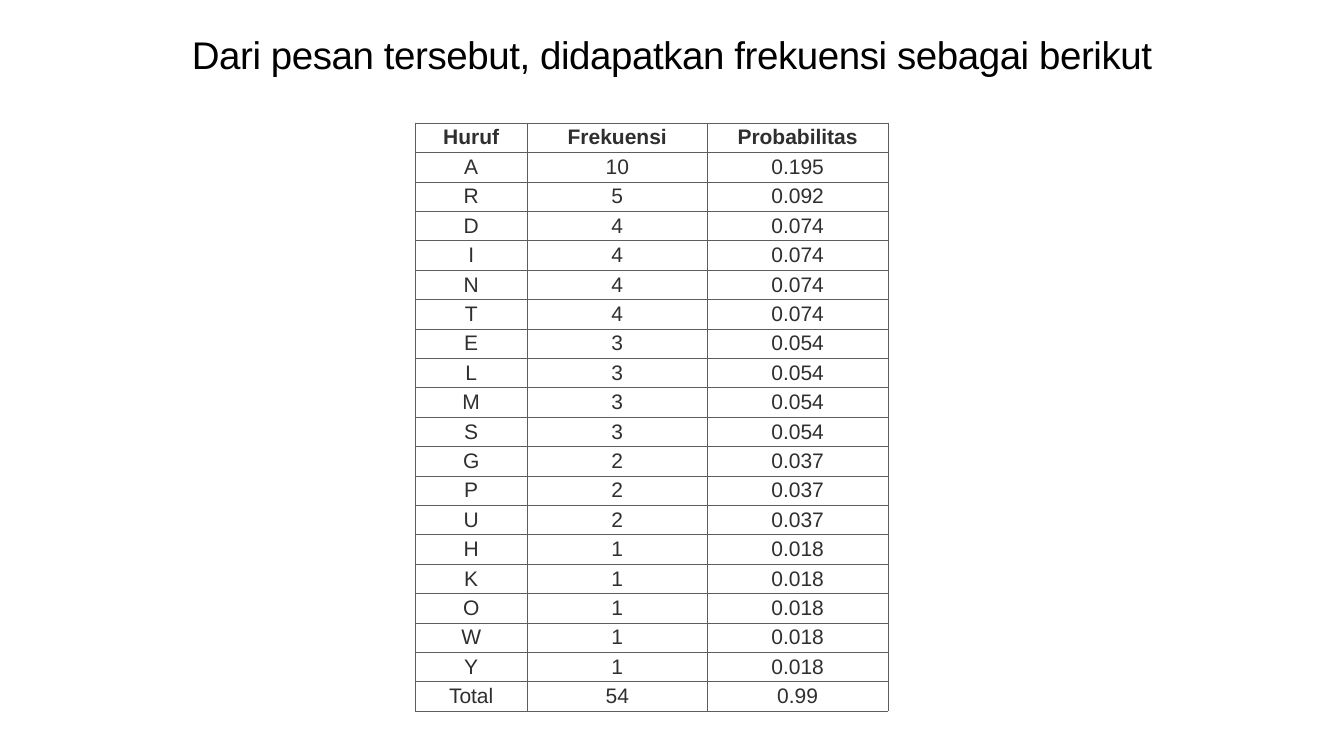
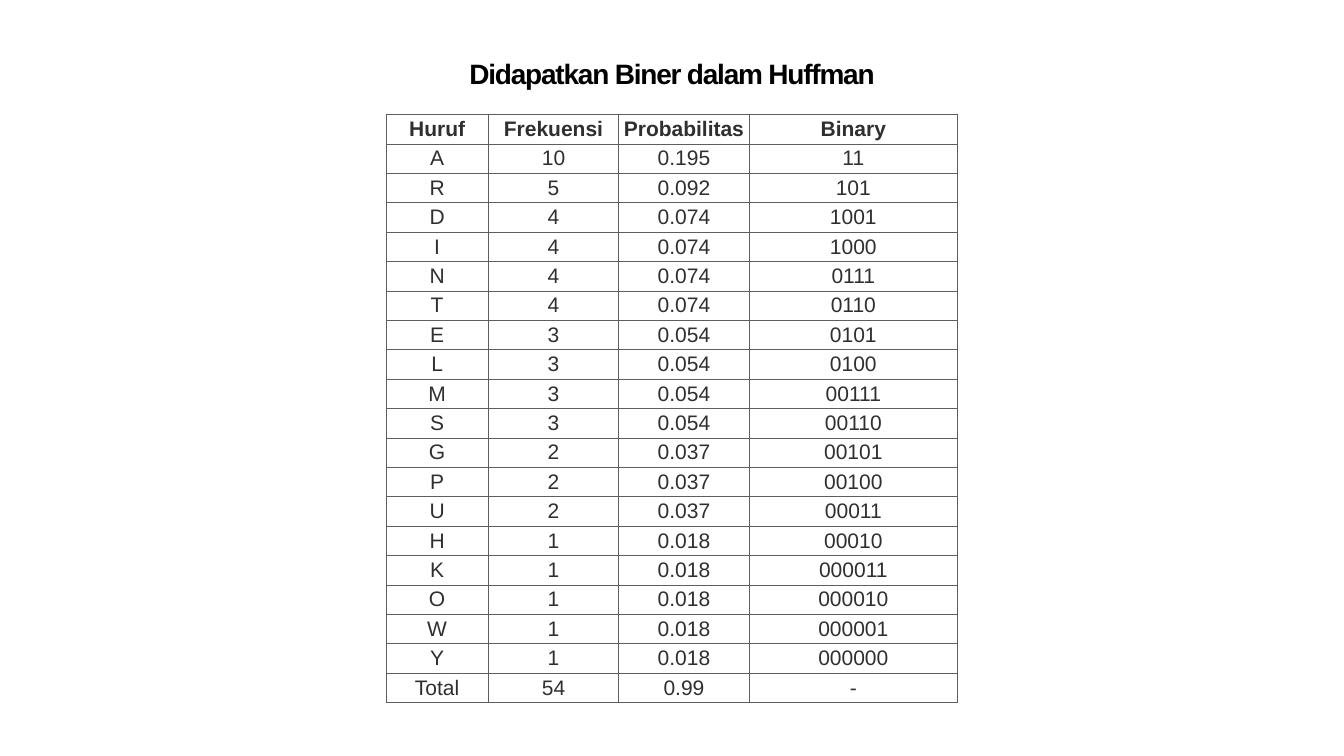
from lxml.etree import SubElement
from pptx import Presentation
from pptx.dml.color import RGBColor
from pptx.enum.text import MSO_ANCHOR, MSO_AUTO_SIZE, PP_ALIGN
from pptx.oxml.ns import qn
from pptx.util import Inches, Pt

# Grid: 100 columns by 100 rows over the slide
WIDE, HIGH = Inches(26.67), Inches(15)
ROW = 3.89
FONT, BLACK, INK, EDGE = "Arial", "000000", "2F2F2F", "5E5E5E"

# Letter, frequency, probability, Huffman code
HEAD = ["Huruf", "Frekuensi", "Probabilitas", "Binary"]
CODES = """A 10 0.195 11
R 5 0.092 101
D 4 0.074 1001
I 4 0.074 1000
N 4 0.074 0111
T 4 0.074 0110
E 3 0.054 0101
L 3 0.054 0100
M 3 0.054 00111
S 3 0.054 00110
G 2 0.037 00101
P 2 0.037 00100
U 2 0.037 00011
H 1 0.018 00010
K 1 0.018 000011
O 1 0.018 000010
W 1 0.018 000001
Y 1 0.018 000000
Total 54 0.99 -"""
ROWS = [HEAD] + [line.split() for line in CODES.splitlines()]


def color(code):
    return RGBColor.from_string(code)


def col(n):
    return round(WIDE * n / 100)


def row(n):
    return round(HIGH * n / 100)


def apply(item, form):
    for key, value in form.items():
        setattr(item, key, value)


def write(frame, text, size, ink, bold=False, track=0, **form):
    """Put one centred line of text in a frame."""
    para = frame.paragraphs[0]
    apply(para, {"alignment": PP_ALIGN.CENTER, **form})
    run = para.add_run()
    run.text = text
    apply(run.font, {"name": FONT, "size": Pt(size), "bold": bold})
    run.font.color.rgb = color(ink)
    if track:
        run._r.get_or_add_rPr().set("spc", str(track))
    return para


def heading(holder, box, text, size, **form):
    """Move a placeholder and fill it with a heading."""
    left, top, width, height = box
    apply(holder, {"left": col(left), "top": row(top),
                   "width": col(width), "height": row(height)})
    frame = holder.text_frame
    sides = ("left", "right", "top", "bottom")
    apply(frame, {f"margin_{side}": Inches(0.06) for side in sides})
    apply(frame, {"word_wrap": True, "auto_size": MSO_AUTO_SIZE.NONE,
                  "vertical_anchor": MSO_ANCHOR.TOP})
    return write(frame, text, size, BLACK, **form)


def plain(para):
    """Take bullet and indent off a paragraph."""
    props = para._p.get_or_add_pPr()
    props.set("marL", "0")
    props.set("indent", "0")
    SubElement(props, qn("a:buNone"))


def border(cell):
    props = cell._tc.get_or_add_tcPr()
    for side in "LRTB":
        line = SubElement(props, qn(f"a:ln{side}"), w=str(Pt(1)))
        fill = SubElement(line, qn("a:solidFill"))
        SubElement(fill, qn("a:srgbClr"), val=EDGE)


def grid(slide, left, top, widths):
    """Draw as many columns of the data as there are widths."""
    table = slide.shapes.add_table(
        len(ROWS), len(widths), col(left), row(top),
        col(sum(widths)), row(ROW * len(ROWS))).table
    apply(table, {"first_row": False, "horz_banding": False})
    for column, width in zip(table.columns, widths):
        column.width = col(width)
    for r, values in enumerate(ROWS):
        table.rows[r].height = row(ROW)
        for c, value in enumerate(values[:len(widths)]):
            cell = table.cell(r, c)
            apply(cell, {"margin_left": Inches(0.05),
                         "margin_right": Inches(0.05),
                         "margin_top": Inches(0.04),
                         "margin_bottom": Inches(0.04),
                         "vertical_anchor": MSO_ANCHOR.MIDDLE})
            border(cell)
            cell.fill.background()
            write(cell.text_frame, value, 30, INK, bold=r == 0)


def main():
    deck = Presentation()
    apply(deck, {"slide_width": WIDE, "slide_height": HIGH})

    # Frequencies
    slide = deck.slides.add_slide(deck.slide_layouts[1])
    title = slide.shapes.title._element
    title.getparent().remove(title)
    para = heading(slide.placeholders[1], (4.95, 3.73, 90.1, 81.73),
                   "Dari pesan tersebut, didapatkan frekuensi sebagai berikut",
                   55, track=-60, space_before=Pt(18))
    plain(para)
    grid(slide, 30.9, 16.27, [8.32, 13.42, 13.42])

    # Huffman codes
    slide = deck.slides.add_slide(deck.slide_layouts[5])
    heading(slide.shapes.title, (4.95, 7.87, 90.1, 10.47),
            "Didapatkan Biner dalam Huffman", 40,
            bold=True, track=-170, line_spacing=0.8)
    grid(slide, 28.72, 15.13, [7.61, 9.71, 9.71, 15.49])

    deck.save("out.pptx")


if __name__ == "__main__":
    main()
